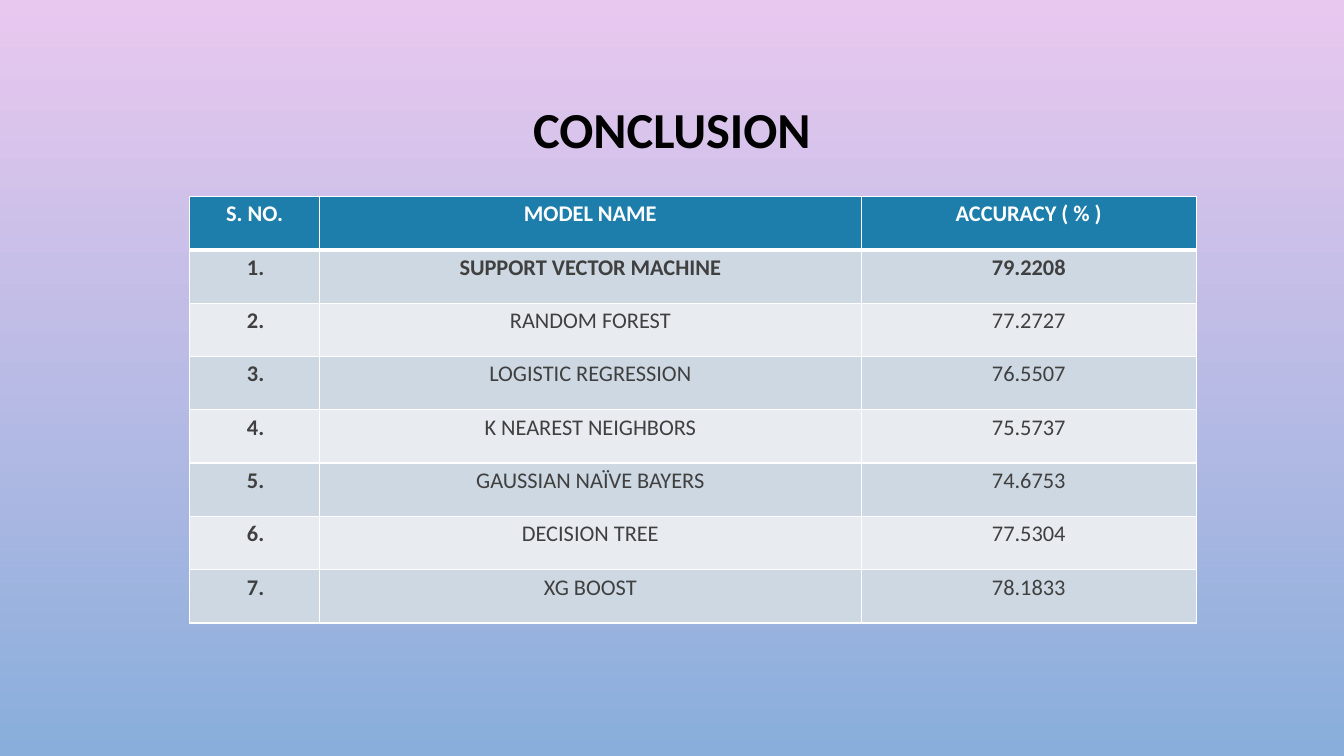
from lxml import etree
from pptx import Presentation
from pptx.dml.color import RGBColor
from pptx.enum.text import MSO_ANCHOR, PP_ALIGN
from pptx.oxml.ns import qn
from pptx.util import Pt

CENTER, LEFT = PP_ALIGN.CENTER, PP_ALIGN.LEFT
MIDDLE, TOP = MSO_ANCHOR.MIDDLE, MSO_ANCHOR.TOP

FONT = "Calibri"
COLORS = {
    "bg_top": "E9C8EF", "bg_bottom": "89AEDB", "title": "000000",
    "header": "1D7EAB", "band_dark": "CDD8E2", "band_light": "E8ECF1",
    "text": "404040", "white": "FFFFFF",
}
HEADERS = ["S. NO.", "MODEL NAME", "ACCURACY ( % )"]
MODELS = [
    ("SUPPORT VECTOR MACHINE", "79.2208"),
    ("RANDOM FOREST", "77.2727"),
    ("LOGISTIC REGRESSION", "76.5507"),
    ("K NEAREST NEIGHBORS", "75.5737"),
    ("GAUSSIAN NAÏVE BAYERS", "74.6753"),
    ("DECISION TREE", "77.5304"),
    ("XG BOOST", "78.1833"),
]
COL_WIDTHS = [92.9, 386.8, 239.5]
NUMBER_INDENT = 36


def rgb(name):
    return RGBColor.from_string(COLORS[name])


def add_run(p, text, size, color, bold):
    r = p.add_run()
    r.text = text
    r.font.name = FONT
    r.font.size = Pt(size)
    r.font.bold = bold
    r.font.color.rgb = rgb(color)


def paint_background(slide):
    fill = slide.background.fill
    fill.gradient()
    fill.gradient_angle = 270
    for stop, name in zip(fill.gradient_stops, ("bg_top", "bg_bottom")):
        stop.color.rgb = rgb(name)


def add_title(slide, text, left, top, width, height):
    box = slide.shapes.add_textbox(Pt(left), Pt(top), Pt(width), Pt(height))
    tf = box.text_frame
    tf.word_wrap = True
    tf.vertical_anchor = MIDDLE
    p = tf.paragraphs[0]
    p.alignment = CENTER
    p.line_spacing = 0.9
    add_run(p, text, 36, "title", True)


def set_borders(cell, bottom_width):
    """Draw white cell borders; they must precede the fill in tcPr."""
    tcPr = cell._tc.get_or_add_tcPr()
    widths = {"a:lnL": 1, "a:lnR": 1, "a:lnT": 1, "a:lnB": bottom_width}
    for i, (tag, width) in enumerate(widths.items()):
        ln = etree.Element(qn(tag), w=str(Pt(width)))
        solid = etree.SubElement(ln, qn("a:solidFill"))
        etree.SubElement(solid, qn("a:srgbClr"), val=COLORS["white"])
        tcPr.insert(i, ln)


def fill_cell(cell, text, fill, color, bold, align=CENTER, indent=0, bottom_width=1):
    cell.fill.solid()
    cell.fill.fore_color.rgb = rgb(fill)
    set_borders(cell, bottom_width)
    cell.margin_left = cell.margin_right = Pt(5)
    cell.margin_top = cell.margin_bottom = 0
    cell.vertical_anchor = TOP
    p = cell.text_frame.paragraphs[0]
    p.alignment = align
    p.line_spacing = 1.15
    p.space_after = Pt(18)
    if indent:
        p._p.get_or_add_pPr().set("marL", str(Pt(indent)))
    add_run(p, text, 16, color, bold)


def add_accuracy_table(slide, left, top, width, height):
    rows = len(MODELS) + 1
    table = slide.shapes.add_table(
        rows, len(HEADERS), Pt(left), Pt(top), Pt(width), Pt(height)).table
    for column, share in zip(table.columns, COL_WIDTHS):
        column.width = Pt(width * share / sum(COL_WIDTHS))
    for row in table.rows:
        row.height = Pt(height / rows)

    for c, header in enumerate(HEADERS):
        fill_cell(table.cell(0, c), header, "header", "white", True, bottom_width=3)
    for n, (model, accuracy) in enumerate(MODELS, start=1):
        band = "band_dark" if n % 2 else "band_light"
        best = n == 1
        fill_cell(table.cell(n, 0), f"{n}.", band, "text", True, LEFT, NUMBER_INDENT)
        fill_cell(table.cell(n, 1), model, band, "text", best)
        fill_cell(table.cell(n, 2), accuracy, band, "text", best)
    for c in range(len(HEADERS)):
        top_line = table.cell(1, c)._tc.tcPr.find(qn("a:lnT"))
        top_line.set("w", str(Pt(3)))


def main():
    prs = Presentation()
    prs.slide_width, prs.slide_height = Pt(960), Pt(540)
    slide = prs.slides.add_slide(prs.slide_layouts[6])
    paint_background(slide)
    add_title(slide, "CONCLUSION", 72, 49, 816, 91.4)
    add_accuracy_table(slide, 135.4, 140.4, 719.2, 304.6)
    prs.save("out.pptx")


if __name__ == "__main__":
    main()
